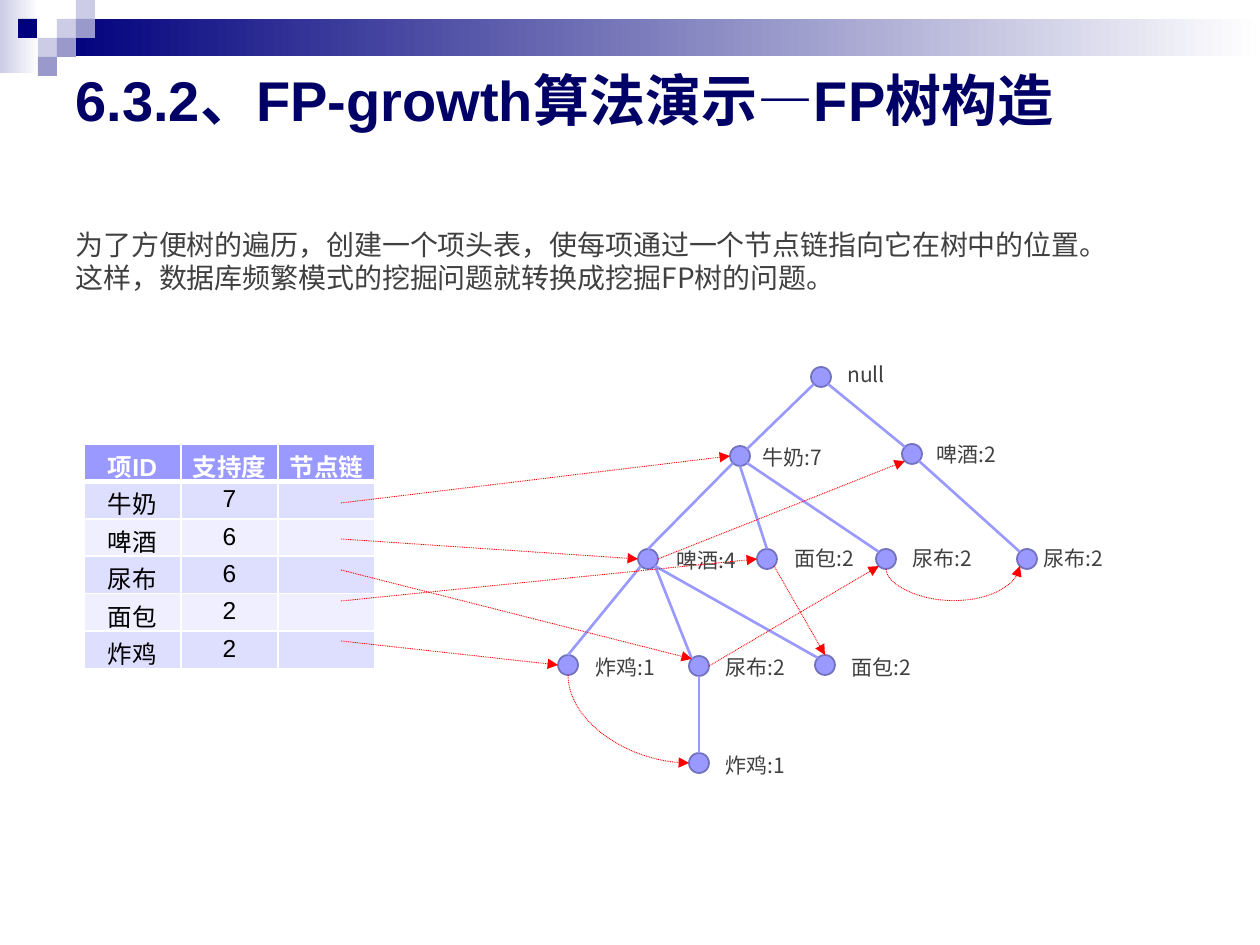
from lxml.etree import SubElement
from pptx import Presentation
from pptx.dml.color import RGBColor
from pptx.enum.dml import MSO_LINE
from pptx.enum.shapes import MSO_CONNECTOR, MSO_SHAPE
from pptx.enum.text import MSO_ANCHOR, MSO_AUTO_SIZE, PP_ALIGN
from pptx.oxml import parse_xml
from pptx.oxml.ns import nsdecls, qn
from pptx.util import Pt

# Content
TITLE = "6.3.2、FP-growth算法演示—FP树构造"
BODY = [
    "为了方便树的遍历，创建一个项头表，使每项通过一个节点链指向它在树中的位置。",
    "这样，数据库频繁模式的挖掘问题就转换成挖掘FP树的问题。",
]
HEADER_TABLE = [
    ("项ID", "支持度", "节点链"),
    ("牛奶", "7", ""),
    ("啤酒", "6", ""),
    ("尿布", "6", ""),
    ("面包", "2", ""),
    ("炸鸡", "2", ""),
]
# name: (label, node left, node top, label left, label top)
NODES = {
    "root": ("null", 811, 367, 835, 355),
    "milk": ("牛奶:7", 730, 446, 750, 438),
    "beer right": ("啤酒:2", 902, 444, 924, 435),
    "beer": ("啤酒:4", 638, 549, 664, 541),
    "bread": ("面包:2", 757, 549, 782, 539),
    "diaper": ("尿布:2", 876, 549, 900, 539),
    "diaper right": ("尿布:2", 1017, 549, 1031, 539),
    "chicken": ("炸鸡:1", 558, 655, 583, 648),
    "diaper low": ("尿布:2", 689, 656, 713, 648),
    "bread low": ("面包:2", 815, 655, 839, 648),
    "chicken low": ("炸鸡:1", 689, 753, 713, 746),
}
# (parent, side, child, side)
TREE_EDGES = [
    ("root", "bottom left", "milk", "top right"),
    ("root", "bottom right", "beer right", "top left"),
    ("milk", "bottom left", "beer", "top"),
    ("milk", "bottom", "bread", "top"),
    ("milk", "bottom right", "diaper", "top left"),
    ("beer right", "bottom right", "diaper right", "top left"),
    ("beer", "bottom left", "chicken", "top"),
    ("beer", "bottom right", "diaper low", "top left"),
    ("beer", "bottom right", "bread low", "top left"),
    ("diaper low", "bottom", "chicken low", "top"),
]
# (start height beside the table, node, side)
TABLE_LINKS = [
    (503, "milk", "left"),
    (539, "beer", "left"),
    (570, "diaper low", "top left"),
    (601, "bread", "left"),
    (641, "chicken", "left"),
]
NODE_LINKS = [
    ("diaper low", "right", "diaper", "bottom left"),
    ("beer", "right", "beer right", "bottom left"),
    ("bread", "bottom right", "bread low", "top"),
]
COLORS = {
    "navy": "00007D", "title": "000066", "pale": "CCCCE6", "lilac": "9999CC",
    "node": "9999FF", "outline": "7171BD", "text": "404040", "link": "FF0000",
    "odd": "DEDEFF", "even": "EFEFFF", "white": "FFFFFF", "black": "000000",
}
# (left, top, colour) of the small corner squares
SQUARES = [
    (57, 19, "pale"), (76, 0, "pale"), (76, 19, "lilac"), (38, 38, "pale"),
    (18, 19, "navy"), (57, 38, "lilac"), (38, 57, "lilac"),
]
CJK_FONT = "Noto Sans CJK SC"
NODE_SIZE = 20
LINK_START = 341
CURVE_DROP = 32


def px(length):
    return round(length * 914400 / 126)


def color(name):
    return RGBColor.from_string(COLORS[name])


def write(frame, lines, size, fill, font=CJK_FONT, bold=False, align=None):
    for index, line in enumerate(lines):
        paragraph = frame.paragraphs[0] if index == 0 else frame.add_paragraph()
        paragraph.alignment = align
        if not line:
            paragraph._p.get_or_add_endParaRPr().set("sz", str(size * 100))
            continue
        run = paragraph.add_run()
        run.text = line
        run.font.size, run.font.bold, run.font.name = Pt(size), bold, font
        run.font.color.rgb = color(fill)
        if font == CJK_FONT:
            SubElement(run._r.rPr, qn("a:ea"), typeface=font)


def add_text(left, top, width, height, lines, **style):
    box = slide.shapes.add_textbox(px(left), px(top), px(width), px(height))
    box.text_frame.word_wrap = True
    box.text_frame.auto_size = MSO_AUTO_SIZE.SHAPE_TO_FIT_TEXT
    write(box.text_frame, lines, **style)


def add_shape(kind, left, top, width, height, fill, outline=None, fade=False):
    shape = slide.shapes.add_shape(kind, px(left), px(top), px(width), px(height))
    shape.shadow.inherit = False
    if fade:
        shape.fill.gradient()
        shape.fill.gradient_angle = 0
        for stop, name in zip(shape.fill.gradient_stops, (fill, "white")):
            stop.color.rgb = color(name)
    else:
        shape.fill.solid()
        shape.fill.fore_color.rgb = color(fill)
    if outline:
        shape.line.color.rgb = color(outline)
        shape.line.width = Pt(1)
    else:
        shape.line.fill.background()


def side_point(name, side):
    _, left, top, _, _ = NODES[name]
    radius = NODE_SIZE / 2
    x = ("right" in side) - ("left" in side)
    y = ("bottom" in side) - ("top" in side)
    reach = radius * (0.71 if x and y else 1)
    return left + radius + x * reach, top + radius + y * reach


def add_line(start, end, is_link=False, kind=MSO_CONNECTOR.STRAIGHT):
    line = slide.shapes.add_connector(kind, *map(px, start + end))
    line.line.color.rgb = color("link" if is_link else "node")
    line.line.width = Pt(0.5 if is_link else 1.5)
    if is_link:
        line.line.dash_style = MSO_LINE.ROUND_DOT
        SubElement(line.line._get_or_add_ln(), qn("a:tailEnd"), type="triangle")
    SubElement(line._element.spPr, qn("a:effectLst"))
    return line


def add_curve(start, end, preset, rotation, flips, drop=None):
    line = add_line(start, end, True, MSO_CONNECTOR.CURVE)
    # A quarter turn swaps width and height around the same centre
    width, height = abs(end[1] - start[1]), abs(end[0] - start[0])
    line.left = px((start[0] + end[0] - width) / 2)
    line.top = px((start[1] + end[1] - height) / 2)
    line.width, line.height = px(width), px(height)
    frame = line._element.spPr.find(qn("a:xfrm"))
    for flip in ("flipH", "flipV"):
        frame.set(flip, "1" if flip in flips else "0")
    frame.set("rot", str(rotation * 60000))
    geometry = line._element.spPr.find(qn("a:prstGeom"))
    geometry.set("prst", preset)
    if drop:
        guides = geometry.find(qn("a:avLst"))
        if guides is None:
            guides = SubElement(geometry, qn("a:avLst"))
        SubElement(guides, qn("a:gd"), name="adj1",
                   fmla=f"val {round(-drop / width * 100000)}")


def set_borders(cell, row):
    widths = {"L": 1, "R": 1, "T": 3 if row == 1 else 1, "B": 3 if row == 0 else 1}
    for index, (edge, width) in enumerate(widths.items()):
        cell._tc.get_or_add_tcPr().insert(index, parse_xml(
            f'<a:ln{edge} {nsdecls("a")} w="{Pt(width)}"><a:solidFill>'
            f'<a:srgbClr val="{COLORS["white"]}"/></a:solidFill></a:ln{edge}>'))


presentation = Presentation()
presentation.slide_width, presentation.slide_height = px(1260), px(945)
slide = presentation.slides.add_slide(presentation.slide_layouts[5])

# Corner decoration
add_shape(MSO_SHAPE.RECTANGLE, 0, 0, 39, 73, "pale", fade=True)
add_shape(MSO_SHAPE.RECTANGLE, 57, 19, 1203, 37, "navy", fade=True)
for left, top, fill in SQUARES:
    add_shape(MSO_SHAPE.RECTANGLE, left, top, 19, 19, fill)

# Title and body
title = slide.shapes.title
title.left, title.top, title.width, title.height = map(px, (63, 63, 1134, 72))
title.text_frame.vertical_anchor = MSO_ANCHOR.MIDDLE
title.text_frame.auto_size = MSO_AUTO_SIZE.NONE
write(title.text_frame, [TITLE], 32, "title", "Arial", True, PP_ALIGN.LEFT)
add_text(63, 221, 1072, 81, BODY, size=16, fill="text")

# Tree
for label, left, top, label_left, label_top in NODES.values():
    add_shape(MSO_SHAPE.OVAL, left, top, NODE_SIZE, NODE_SIZE, "node", "outline")
    add_text(label_left, label_top, 86, 38, [label], size=12, fill="text")
for parent, parent_side, child, child_side in TREE_EDGES:
    add_line(side_point(parent, parent_side), side_point(child, child_side))

# Header table
table = slide.shapes.add_table(len(HEADER_TABLE), 3, px(84), px(444),
                               px(3 * 97), px(len(HEADER_TABLE) * 37)).table
for row, values in enumerate(HEADER_TABLE):
    for column, value in enumerate(values):
        cell = table.cell(row, column)
        cell.margin_left = cell.margin_right = px(8)
        cell.margin_top = cell.margin_bottom = px(4)
        cell.fill.solid()
        cell.fill.fore_color.rgb = color(
            "node" if row == 0 else "odd" if row % 2 else "even")
        set_borders(cell, row)
        write(cell.text_frame, [value], 14, "black" if row else "white",
              "Arial", row == 0, PP_ALIGN.CENTER)

# Node links
for height, name, side in TABLE_LINKS:
    add_line((LINK_START, height), side_point(name, side), True)
for source, source_side, target, target_side in NODE_LINKS:
    add_line(side_point(source, source_side), side_point(target, target_side), True)
add_curve(side_point("chicken", "bottom"), side_point("chicken low", "left"),
          "curvedConnector2", 270, ["flipH"])
add_curve(side_point("diaper", "bottom"), side_point("diaper right", "bottom left"),
          "curvedConnector3", 90, ["flipH", "flipV"], CURVE_DROP)

presentation.save("out.pptx")
